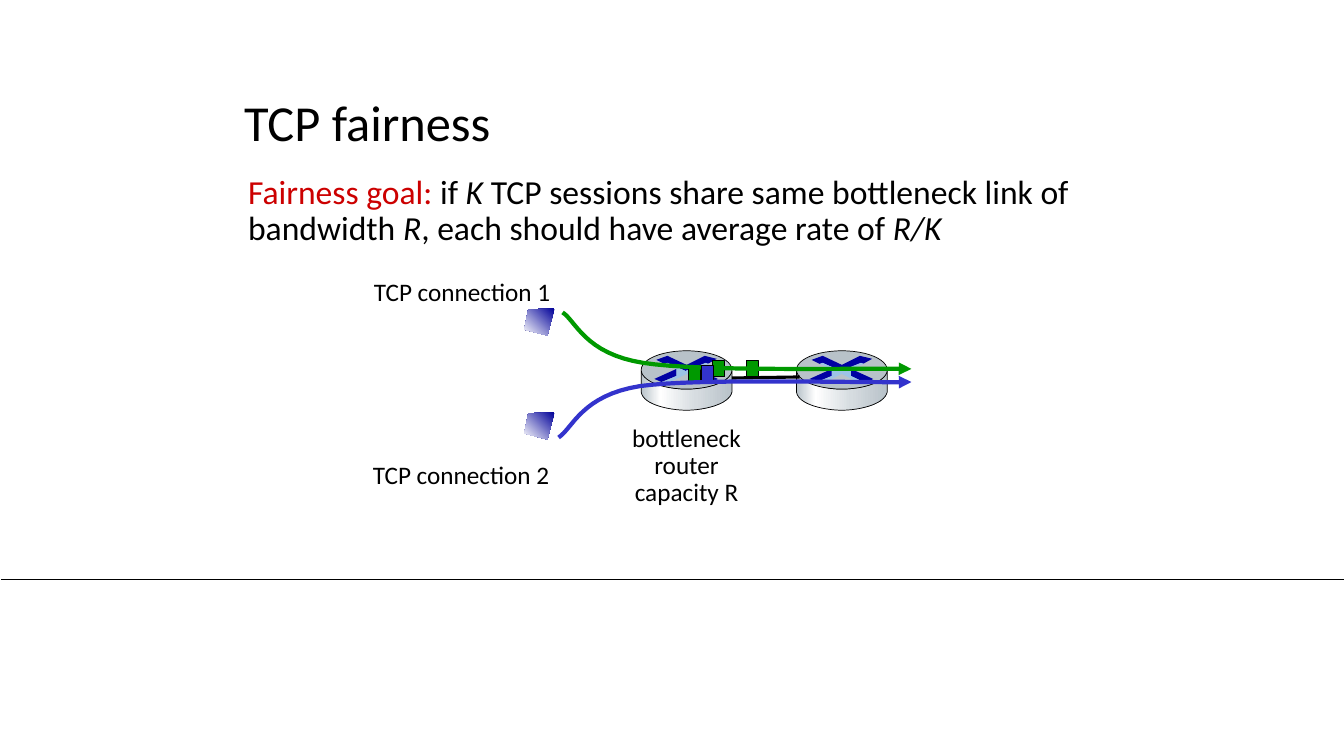
from lxml import etree
from pptx import Presentation
from pptx.dml.color import RGBColor
from pptx.enum import shapes, text
from pptx.oxml.ns import qn
from pptx.util import Inches, Pt

BLACK = RGBColor(0x00, 0x00, 0x00)
RED = RGBColor(0xCC, 0x00, 0x00)
GREEN = RGBColor(0x00, 0x99, 0x00)
BLUE = RGBColor(0x33, 0x33, 0xCC)
NAVY = RGBColor(0x00, 0x00, 0xA3)
SKY = RGBColor(0x9D, 0xC3, 0xE6)
STEEL = RGBColor(0xB8, 0xC2, 0xC9)
SILVER = RGBColor(0xD6, 0xDC, 0xE0)
WHITE = RGBColor(0xFF, 0xFF, 0xFF)
SCREEN = RGBColor(0x00, 0x00, 0x99)
FONT = "Calibri"

# Router outlines, in inches from its top left corner; six numbers make a curve
ROUTER_BODY = [(0.9, 0.2), (0.9, 0.41),
               (0.87, 0.54, 0.6, 0.59, 0.45, 0.59), (0.3, 0.59, 0.02, 0.54, 0, 0.41),
               (0, 0.35, 0, 0.25, 0, 0.2),
               (0.04, 0.32, 0.29, 0.38, 0.44, 0.38), (0.59, 0.38, 0.86, 0.34, 0.9, 0.2)]
ROUTER_MARKS = [
    (NAVY, [(0.63, 0.05), (0.75, 0.08), (0.66, 0.13), (0.64, 0.12), (0.44, 0.2),
            (0.26, 0.12), (0.23, 0.13), (0.15, 0.09), (0.26, 0.05), (0.45, 0.14)]),
    (NAVY, [(0.54, 0.18), (0.76, 0.28), (0.69, 0.32), (0.54, 0.25)]),
    (NAVY, [(0.35, 0.18), (0.35, 0.25), (0.2, 0.31), (0.13, 0.28)]),
    (SKY, [(0.23, 0.13), (0.26, 0.12), (0.44, 0.2), (0.64, 0.12), (0.67, 0.13),
           (0.54, 0.18), (0.54, 0.25), (0.68, 0.32), (0.65, 0.33), (0.45, 0.23),
           (0.24, 0.33), (0.21, 0.31), (0.35, 0.25), (0.35, 0.18)]),
]


def flatten(steps, count=16):
    """Turn points and Bezier steps into a list of points."""
    points = [steps[0]]
    for step in steps[1:]:
        if len(step) == 2:
            points.append(step)
            continue
        ctrl = [points[-1], step[:2], step[2:4], step[4:]]
        for i in range(1, count + 1):
            t = i / count
            weights = ((1 - t) ** 3, 3 * t * (1 - t) ** 2, 3 * t * t * (1 - t), t ** 3)
            points.append(tuple(sum(w * c[axis] for w, c in zip(weights, ctrl))
                                for axis in (0, 1)))
    return points


def set_line(sp, color=None, width=0.5):
    if color is None:
        sp.line.fill.background()
    else:
        sp.line.color.rgb = color
        sp.line.width = Pt(width)


def set_fill(sp, color):
    sp.fill.solid()
    sp.fill.fore_color.rgb = color


def set_gradient(sp, stops, angle):
    sp.fill.gradient()
    sp.fill.gradient_angle = angle
    gs_list = sp.element.spPr.find(qn("a:gradFill")).find(qn("a:gsLst"))
    for gs in list(gs_list):
        gs_list.remove(gs)
    for pos, color in stops:
        gs = etree.SubElement(gs_list, qn("a:gs"), pos=str(pos * 1000))
        etree.SubElement(gs, qn("a:srgbClr"), val=str(color))


def add_outline(parent, x, y, steps, close=True):
    points = [(Inches(x + px), Inches(y + py)) for px, py in flatten(steps)]
    builder = parent.build_freeform(*points[0], scale=1.0)
    builder.add_line_segments(points[1:], close=close)
    sp = builder.convert_to_shape()
    sp.shadow.inherit = False
    return sp


def add_line(s, x1, y1, x2, y2, width):
    line = s.shapes.add_connector(shapes.MSO_CONNECTOR.STRAIGHT,
                                  Inches(x1), Inches(y1), Inches(x2), Inches(y2))
    set_line(line, BLACK, width)
    etree.SubElement(line.element.spPr, qn("a:effectLst"))


def add_router(s, x, y):
    parts = s.shapes.add_group_shape().shapes
    body = add_outline(parts, x, y, ROUTER_BODY)
    set_gradient(body, [(0, STEEL), (21, WHITE), (60, SILVER), (100, STEEL)], 0)
    set_line(body, BLACK)
    top = parts.add_shape(shapes.MSO_SHAPE.OVAL,
                          Inches(x), Inches(y), Inches(0.9), Inches(0.38))
    top.shadow.inherit = False
    set_fill(top, STEEL)
    set_line(top, BLACK)
    for color, steps in ROUTER_MARKS:
        mark = add_outline(parts, x, y, steps)
        set_fill(mark, color)
        set_line(mark)


def add_host(s, x, y):
    sp = add_outline(s.shapes, x, y,
                     [(0.3, 0), (0.04, 0.01), (0, 0.21), (0.23, 0.27)])
    set_gradient(sp, [(0, SCREEN), (100, WHITE)], 225)
    set_line(sp)


def add_packet(s, x, y, color):
    sp = s.shapes.add_shape(shapes.MSO_SHAPE.RECTANGLE,
                            Inches(x), Inches(y), Inches(0.12), Inches(0.16))
    sp.shadow.inherit = False
    set_fill(sp, color)
    set_line(sp, BLACK, 0.75)


def add_flow(s, x, y, steps, color):
    sp = add_outline(s.shapes, x, y, steps, close=False)
    sp.fill.background()
    set_line(sp, color, 3)
    etree.SubElement(sp.line._get_or_add_ln(), qn("a:tailEnd"), type="triangle")


def add_label(s, x, y, w, h, words, align=text.PP_ALIGN.LEFT, spacing=1.0):
    tf = s.shapes.add_textbox(Inches(x), Inches(y), Inches(w), Inches(h)).text_frame
    tf.word_wrap = False
    tf.text = words
    for p in tf.paragraphs:
        p.alignment, p.line_spacing = align, spacing
        p.font.name, p.font.size, p.font.color.rgb = FONT, Pt(18), BLACK


def add_title(s, x, y, w, h):
    sp = s.shapes.title
    sp.left, sp.top, sp.width, sp.height = Inches(x), Inches(y), Inches(w), Inches(h)
    tf = sp.text_frame
    tf.text = "TCP fairness"
    tf.vertical_anchor = text.MSO_ANCHOR.MIDDLE
    p = tf.paragraphs[0]
    p.alignment, p.line_spacing = text.PP_ALIGN.LEFT, 0.9
    p.font.name, p.font.size, p.font.color.rgb = FONT, Pt(36), BLACK


def add_goal(s, x, y, w, h):
    tf = s.shapes.add_textbox(Inches(x), Inches(y), Inches(w), Inches(h)).text_frame
    tf.word_wrap = True
    tf.margin_left = tf.margin_right = Inches(0.07)
    tf.margin_top = tf.margin_bottom = Inches(0.04)
    p = tf.paragraphs[0]
    p.line_spacing = 0.9
    p.font.name, p.font.size = FONT, Pt(24)
    for words, color, italic in [
            ("Fairness goal:", RED, False), (" if", BLACK, False), (" K ", BLACK, True),
            ("TCP sessions share same bottleneck link of bandwidth ", BLACK, False),
            ("R", BLACK, True), (", each should have average rate of ", BLACK, False),
            ("R/K", BLACK, True)]:
        r = p.add_run()
        r.text = words
        r.font.color.rgb, r.font.italic = color, italic


def add_network(s, x, y):
    # Routers and the link between them
    for dx in (1.16, 2.7):
        add_router(s, x + dx, y + 0.42)
    add_line(s, x + 2.06, y + 0.69, x + 2.73, y + 0.68, 2.25)
    # Packets and flows
    for dx, dy in ((2.2, 0.52), (1.63, 0.57), (1.87, 0.52)):
        add_packet(s, x + dx, y + dy, GREEN)
    add_flow(s, x, y, [(0.38, 0.04), (0.51, 0.12, 0.6, 0.45, 1.18, 0.54),
                       (1.75, 0.63, 3.29, 0.59, 3.84, 0.6)], GREEN)
    add_packet(s, x + 1.76, y + 0.57, BLUE)
    add_flow(s, x, y, [(0.34, 1.28), (0.48, 1.19, 0.57, 0.86, 1.15, 0.77),
                       (1.73, 0.69, 3.28, 0.74, 3.84, 0.73)], BLUE)
    # Hosts and labels
    for dy in (0, 1.03):
        add_host(s, x, y + dy)
    add_label(s, x - 1.59, y - 0.37, 1.97, 0.4, "TCP connection 1")
    add_label(s, x - 1.6, y + 1.45, 1.97, 0.4, "TCP connection 2")
    add_label(s, x + 0.96, y + 1.11, 1.3, 0.92, "bottleneck\nrouter\ncapacity R",
              text.PP_ALIGN.CENTER, 0.9)


def main():
    prs = Presentation()
    prs.slide_width, prs.slide_height = Inches(13.33), Inches(7.5)
    s = prs.slides.add_slide(prs.slide_layouts[5])
    add_line(s, 0.01, 5.75, 13.33, 5.75, 0.5)
    add_title(s, 2.32, 0.88, 9.34, 0.73)
    add_goal(s, 2.39, 1.7, 8.35, 0.89)
    add_network(s, 5.2, 3.06)
    prs.save("out.pptx")


if __name__ == "__main__":
    main()
